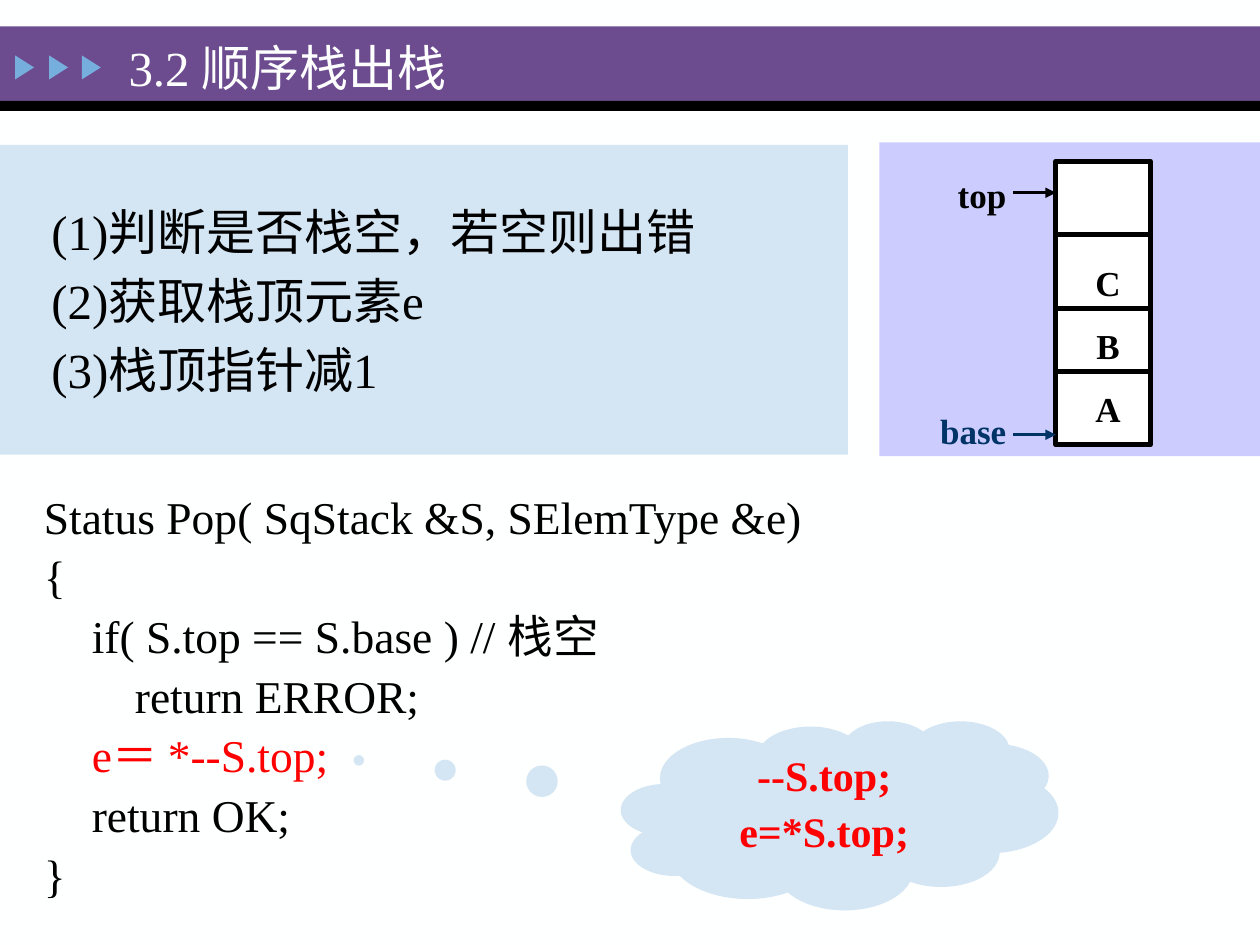
import pptx
import pptx.dml.color
import pptx.enum.shapes
import pptx.enum.text
import pptx.oxml.ns
import pptx.util
from lxml import etree

Inches = pptx.util.Inches
Pt = pptx.util.Pt
RGBColor = pptx.dml.color.RGBColor
SHAPE = pptx.enum.shapes.MSO_SHAPE
ALIGN = pptx.enum.text.PP_ALIGN
ANCHOR = pptx.enum.text.MSO_ANCHOR
AUTO_SIZE = pptx.enum.text.MSO_AUTO_SIZE

OFF_WHITE = RGBColor(0xFE, 0xFF, 0xFF)
WHITE = RGBColor(0xFF, 0xFF, 0xFF)
BLACK = RGBColor(0x00, 0x00, 0x00)
PURPLE = RGBColor(0x6C, 0x4C, 0x8F)
SKY = RGBColor(0x76, 0xAE, 0xDD)
PALE_BLUE = RGBColor(0xD4, 0xE6, 0xF4)
LAVENDER = RGBColor(0xCC, 0xCC, 0xFF)
NAVY = RGBColor(0x00, 0x33, 0x66)
RED = RGBColor(0xFF, 0x00, 0x00)

FONT = "Times New Roman"
STEPS = ["(1)判断是否栈空，若空则出错", "(2)获取栈顶元素e", "(3)栈顶指针减1"]
CODE = [
    [("Status Pop( SqStack &S, SElemType &e)", BLACK)],
    [("{", BLACK)],
    [("\tif( S.top == S.base ) // 栈空", BLACK)],
    [("        return ERROR;", BLACK)],
    [("\t", BLACK), ("e＝ *--S.top;", RED)],
    [("\treturn OK;", BLACK)],
    [("}", BLACK)],
]
THOUGHT = ["--S.top;", "e=*S.top;"]

STACK_LEFT, STACK_RIGHT = 8.38, 9.13
STACK_TOP, STACK_HEIGHT = 1.28, 2.25


def plain(lines, color):
    """Turn lines of one colour into lists of coloured spans."""
    return [[(line, color)] for line in lines]


def write(shape, lines, size, bold=False, indent=None, **paragraph_format):
    """Fill a shape with paragraphs made of coloured spans."""
    frame = shape.text_frame
    frame.word_wrap = True
    gap = paragraph_format.pop("space_before", None)
    for index, spans in enumerate(lines):
        para = frame.paragraphs[0] if index == 0 else frame.add_paragraph()
        for name, value in paragraph_format.items():
            setattr(para, name, value)
        if index and gap is not None:
            para.space_before = gap
        if indent:
            properties = para._p.get_or_add_pPr()
            properties.set("marL", str(Inches(indent[0])))
            properties.set("indent", str(Inches(indent[1])))
        for text, color in spans:
            span = para.add_run()
            span.text = text
            for name, value in {"name": FONT, "size": Pt(size), "bold": bold}.items():
                setattr(span.font, name, value)
            span.font.color.rgb = color


def add_block(slide, kind, left, top, width, height, fill, outline=None):
    block = slide.shapes.add_shape(
        kind, Inches(left), Inches(top), Inches(width), Inches(height))
    block.shadow.inherit = False
    block.fill.solid()
    block.fill.fore_color.rgb = fill
    if outline is None:
        block.line.fill.background()
    else:
        block.line.color.rgb = outline
        block.line.width = Pt(3)
    return block


def add_text(slide, left, top, width, height):
    return slide.shapes.add_textbox(
        Inches(left), Inches(top), Inches(width), Inches(height))


def add_label(slide, left, top, width, text, color):
    label = add_text(slide, left, top, width, 0.43)
    write(label, plain([text], color), 20, bold=True, alignment=ALIGN.CENTER)


def add_level_line(slide, left, right, y, color, weight, arrow=False):
    line = slide.shapes.add_connector(
        pptx.enum.shapes.MSO_CONNECTOR.STRAIGHT,
        Inches(left), Inches(y), Inches(right), Inches(y))
    line.line.color.rgb = color
    line.line.width = Pt(weight)
    if arrow:
        tail = etree.SubElement(
            line.line._get_or_add_ln(), pptx.oxml.ns.qn("a:tailEnd"))
        tail.set("type", "triangle")
    etree.SubElement(line._element.spPr, pptx.oxml.ns.qn("a:effectLst"))


def add_header(slide):
    add_block(slide, SHAPE.RECTANGLE, 0, 0.21, 10, 0.59, PURPLE)
    add_block(slide, SHAPE.RECTANGLE, 0, 0.8, 10, 0.08, BLACK)
    for left in (0.1, 0.37, 0.63):
        marker = add_block(
            slide, SHAPE.ISOSCELES_TRIANGLE, left, 0.46, 0.19, 0.15, SKY)
        marker.rotation = 90

    title = slide.shapes.title
    box = {"left": 0.92, "top": 0.28, "width": 7, "height": 0.5}
    for name, value in box.items():
        setattr(title, name, Inches(value))
    title.text_frame.auto_size = AUTO_SIZE.NONE
    title.text_frame.vertical_anchor = ANCHOR.MIDDLE
    write(title, plain(["3.2 顺序栈出栈"], OFF_WHITE), 28, alignment=ALIGN.LEFT)
    # Bring the title in front of the purple bar
    slide.shapes._spTree.append(title._element)


def add_stack(slide):
    add_block(slide, SHAPE.RECTANGLE, 6.98, 1.13, 3.02, 2.49, LAVENDER)
    add_block(slide, SHAPE.RECTANGLE, STACK_LEFT, STACK_TOP,
              STACK_RIGHT - STACK_LEFT, STACK_HEIGHT, WHITE, BLACK)
    for y in (1.86, 2.45, 2.95):
        add_level_line(slide, STACK_LEFT, STACK_RIGHT, y, BLACK, 3)
    for index, element in enumerate("CBA"):
        add_label(slide, 8.46, 2.03 + 0.5 * index, 0.67, element, BLACK)

    # Pointers into the stack
    for name, left, top, y, color in (("top", 7.13, 1.33, 1.53, BLACK),
                                      ("base", 7.06, 3.2, 3.45, NAVY)):
        add_label(slide, left, top, 1.33, name, color)
        add_level_line(slide, 8.04, STACK_LEFT, y, color, 1.5, arrow=True)


def main():
    deck = pptx.Presentation()
    deck.slide_width, deck.slide_height = Inches(10), Inches(7.5)
    slide = deck.slides.add_slide(deck.slide_layouts[5])
    slide.background.fill.solid()
    slide.background.fill.fore_color.rgb = OFF_WHITE

    add_header(slide)

    # Steps of the algorithm
    steps = add_block(slide, SHAPE.RECTANGLE, 0, 1.15, 6.73, 2.46, PALE_BLUE)
    steps.text_frame.vertical_anchor = ANCHOR.MIDDLE
    write(steps, plain(STEPS, BLACK), 28, indent=(0.98, -0.67),
          alignment=ALIGN.LEFT, space_before=Pt(6))

    add_stack(slide)

    # Code and the thought that expands its red line
    code_format = {"indent": (0.38, -0.38), "line_spacing": 0.9,
                   "space_before": Pt(6)}
    write(add_text(slide, 0.25, 3.88, 9.45, 3.2), CODE, 26, **code_format)
    cloud = add_block(
        slide, SHAPE.CLOUD_CALLOUT, 4.93, 5.72, 3.47, 1.5, PALE_BLUE)
    cloud.adjustments[0], cloud.adjustments[1] = -1.1, -0.29
    cloud.text_frame.vertical_anchor = ANCHOR.TOP
    write(cloud, plain(THOUGHT, RED), 24, bold=True,
          alignment=ALIGN.CENTER, **code_format)

    deck.save("out.pptx")


if __name__ == "__main__":
    main()
